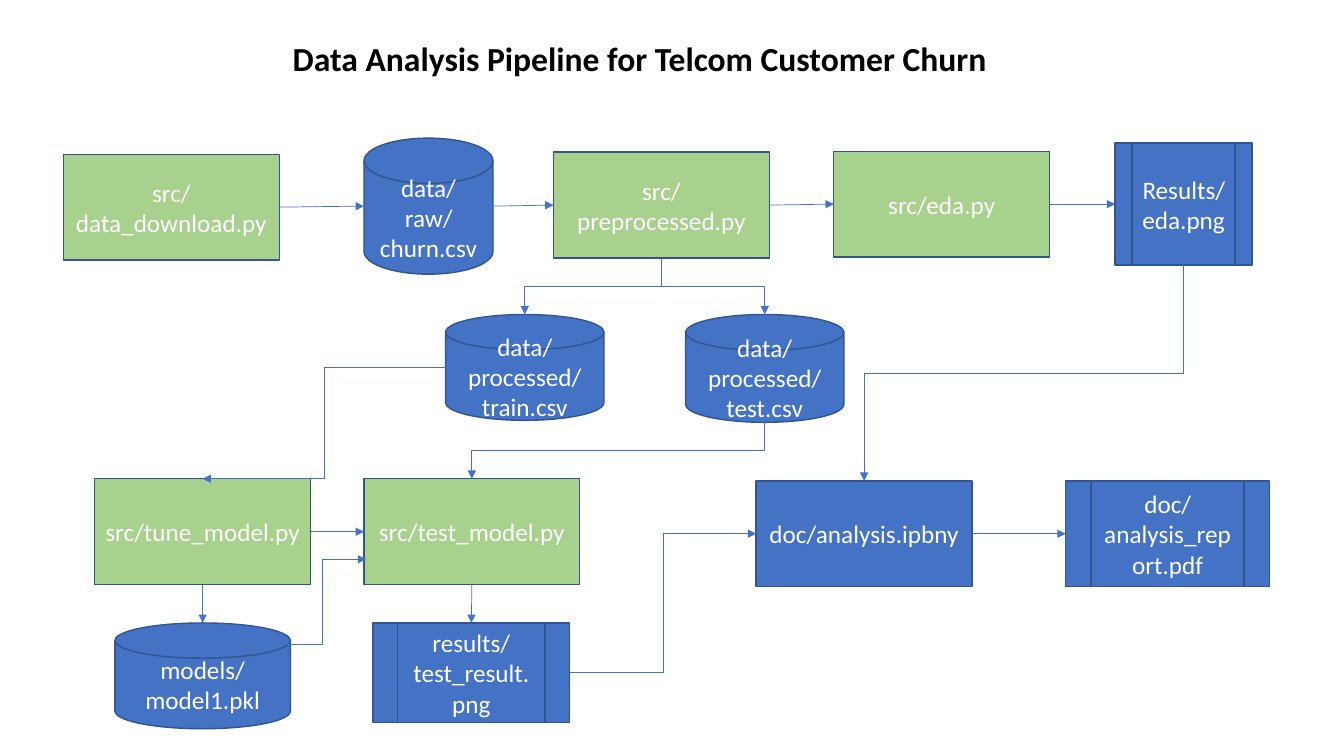
from dataclasses import dataclass

from lxml import etree
from pptx import Presentation
from pptx.dml.color import RGBColor
from pptx.enum.shapes import MSO_CONNECTOR, MSO_SHAPE
from pptx.enum.text import MSO_ANCHOR, MSO_AUTO_SIZE, PP_ALIGN
from pptx.oxml.ns import qn
from pptx.util import Inches, Pt

RECT = MSO_SHAPE.RECTANGLE
DISK = MSO_SHAPE.FLOWCHART_MAGNETIC_DISK
PROCESS = MSO_SHAPE.FLOWCHART_PREDEFINED_PROCESS
STRAIGHT, ELBOW = MSO_CONNECTOR.STRAIGHT, MSO_CONNECTOR.ELBOW
CENTER, MIDDLE = PP_ALIGN.CENTER, MSO_ANCHOR.MIDDLE
TITLE_ONLY = 5


@dataclass(frozen=True)
class Theme:
    font: str = "Calibri"
    title_size: float = 24
    label_size: float = 18
    title: str = "000000"
    label: str = "FFFFFF"
    script: str = "A9D18E"
    artifact: str = "4472C4"
    outline: str = "325491"
    arrow: str = "4472C4"
    outline_width: float = 1
    arrow_width: float = 0.5


THEME = Theme()
SCRIPT_SIZE = (2.14, 1.05)
TOP, LEFT, BOTTOM, RIGHT = (0.5, 0), (0, 0.5), (0.5, 1), (1, 0.5)

STEPS = {
    "download": (RECT, THEME.script, (0, 0.16), SCRIPT_SIZE, ["src/data_download.py"]),
    "raw": (DISK, THEME.artifact, (2.98, 0), (1.28, 1.35), ["data/raw/churn.csv"]),
    "preprocess": (RECT, THEME.script, (4.86, 0.14), SCRIPT_SIZE, ["src/preprocessed.py"]),
    "eda": (RECT, THEME.script, (7.64, 0.13), SCRIPT_SIZE, ["src/eda.py"]),
    "eda_plot": (PROCESS, THEME.artifact, (10.43, 0.05), (1.36, 1.21), ["Results/eda.png"]),
    "train": (DISK, THEME.artifact, (3.79, 1.75), (1.57, 1.05), ["data/processed/train.csv"]),
    "test": (DISK, THEME.artifact, (6.17, 1.75), (1.57, 1.07), ["data/processed/test.csv"]),
    "tune_model": (RECT, THEME.script, (0.31, 3.38), SCRIPT_SIZE, ["src/tune_model.py"]),
    "test_model": (RECT, THEME.script, (2.98, 3.38), SCRIPT_SIZE, ["src/test_model.py"]),
    "analysis": (RECT, THEME.artifact, (6.87, 3.4), SCRIPT_SIZE, ["doc/analysis.ipbny"]),
    "report": (PROCESS, THEME.artifact, (9.94, 3.4), (2.02, 1.05), ["doc/analysis_report.pdf"]),
    "model": (DISK, THEME.artifact, (0.51, 4.81), (1.74, 1.05), ["models/", "model1.pkl"]),
    "result": (PROCESS, THEME.artifact, (3.07, 4.81), (1.95, 0.99), ["results/test_result.png"]),
}

STRAIGHT_FLOWS = [
    ("download", RIGHT, "raw", LEFT),
    ("raw", RIGHT, "preprocess", LEFT),
    ("preprocess", RIGHT, "eda", LEFT),
    ("eda", RIGHT, "eda_plot", LEFT),
    ("tune_model", RIGHT, "test_model", LEFT),
    ("tune_model", BOTTOM, "model", TOP),
    ("test_model", BOTTOM, "result", TOP),
    ("analysis", RIGHT, "report", LEFT),
]
SIDEWAYS_FLOWS = [
    ("train", LEFT, "tune_model", TOP, 0.5),
    ("model", (0.87, 0.2), "test_model", (0.01, 0.76), 0.56),
    ("result", RIGHT, "analysis", LEFT, 0.5),
]
DOWNWARD_FLOWS = [
    ("preprocess", BOTTOM, "train", TOP),
    ("preprocess", BOTTOM, "test", TOP),
    ("test", BOTTOM, "test_model", TOP),
    ("eda_plot", BOTTOM, "analysis", TOP),
]


def color(value):
    return RGBColor.from_string(value)


def add_text(paragraph, text, size, text_color, bold=False):
    paragraph.alignment = CENTER
    run = paragraph.add_run()
    run.text = text
    run.font.name = THEME.font
    run.font.size = Pt(size)
    run.font.bold = bold
    run.font.color.rgb = color(text_color)


def add_heading(slide, box):
    heading = slide.shapes.title
    heading.left, heading.top, heading.width, heading.height = map(Inches, box)
    frame = heading.text_frame
    frame.auto_size = MSO_AUTO_SIZE.NONE
    frame.vertical_anchor = MIDDLE
    add_text(frame.paragraphs[0], "Data Analysis Pipeline for Telcom Customer Churn",
             THEME.title_size, THEME.title, bold=True)


def add_step(slide, origin, kind, fill, offset, size, lines):
    left, top = (start + shift for start, shift in zip(origin, offset))
    step = slide.shapes.add_shape(kind, *map(Inches, (left, top, *size)))
    step.shadow.inherit = False
    step.fill.solid()
    step.fill.fore_color.rgb = color(fill)
    step.line.color.rgb = color(THEME.outline)
    step.line.width = Pt(THEME.outline_width)
    frame = step.text_frame
    frame.word_wrap = True
    frame.vertical_anchor = MIDDLE
    for index, line in enumerate(lines):
        paragraph = frame.add_paragraph() if index else frame.paragraphs[0]
        add_text(paragraph, line, THEME.label_size, THEME.label)
    return step


def anchor(step, site):
    return (step.left + round(step.width * site[0]),
            step.top + round(step.height * site[1]))


def add_flow(slide, kind, start, end):
    flow = slide.shapes.add_connector(kind, *start, *end)
    flow.line.color.rgb = color(THEME.arrow)
    flow.line.width = Pt(THEME.arrow_width)
    properties = flow.element.spPr
    etree.SubElement(properties.find(qn("a:ln")), qn("a:tailEnd"), type="triangle")
    etree.SubElement(properties, qn("a:effectLst"))
    return flow


def set_bend(flow, share):
    guides = flow.element.spPr.find(qn("a:prstGeom")).find(qn("a:avLst"))
    etree.SubElement(guides, qn("a:gd"), name="adj1", fmla=f"val {round(share * 100000)}")


def add_downward_flow(slide, start, end):
    (start_x, start_y), (end_x, end_y) = start, end
    length, spread = end_y - start_y, abs(end_x - start_x)
    left = (start_x + end_x - length) // 2
    top = (start_y + end_y - spread) // 2
    flow = add_flow(slide, ELBOW, (left, top), (left + length, top + spread))
    frame = flow.element.spPr.find(qn("a:xfrm"))
    if end_x < start_x:
        frame.set("rot", str(90 * 60000))
    else:
        frame.set("rot", str(270 * 60000))
        frame.set("flipH", "1")


def add_pipeline(slide, origin):
    steps = {key: add_step(slide, origin, *details) for key, details in STEPS.items()}
    for source, exit_site, target, entry_site in STRAIGHT_FLOWS:
        add_flow(slide, STRAIGHT, anchor(steps[source], exit_site),
                 anchor(steps[target], entry_site))
    for source, exit_site, target, entry_site, bend in SIDEWAYS_FLOWS:
        flow = add_flow(slide, ELBOW, anchor(steps[source], exit_site),
                        anchor(steps[target], entry_site))
        set_bend(flow, bend)
    for source, exit_site, target, entry_site in DOWNWARD_FLOWS:
        add_downward_flow(slide, anchor(steps[source], exit_site),
                          anchor(steps[target], entry_site))


deck = Presentation()
deck.slide_width, deck.slide_height = Inches(13.33), Inches(7.5)
pipeline_slide = deck.slides.add_slide(deck.slide_layouts[TITLE_ONLY])
add_heading(pipeline_slide, (2.65, 0.33, 7.39, 0.5))
add_pipeline(pipeline_slide, (0.63, 1.37))
deck.save("out.pptx")
